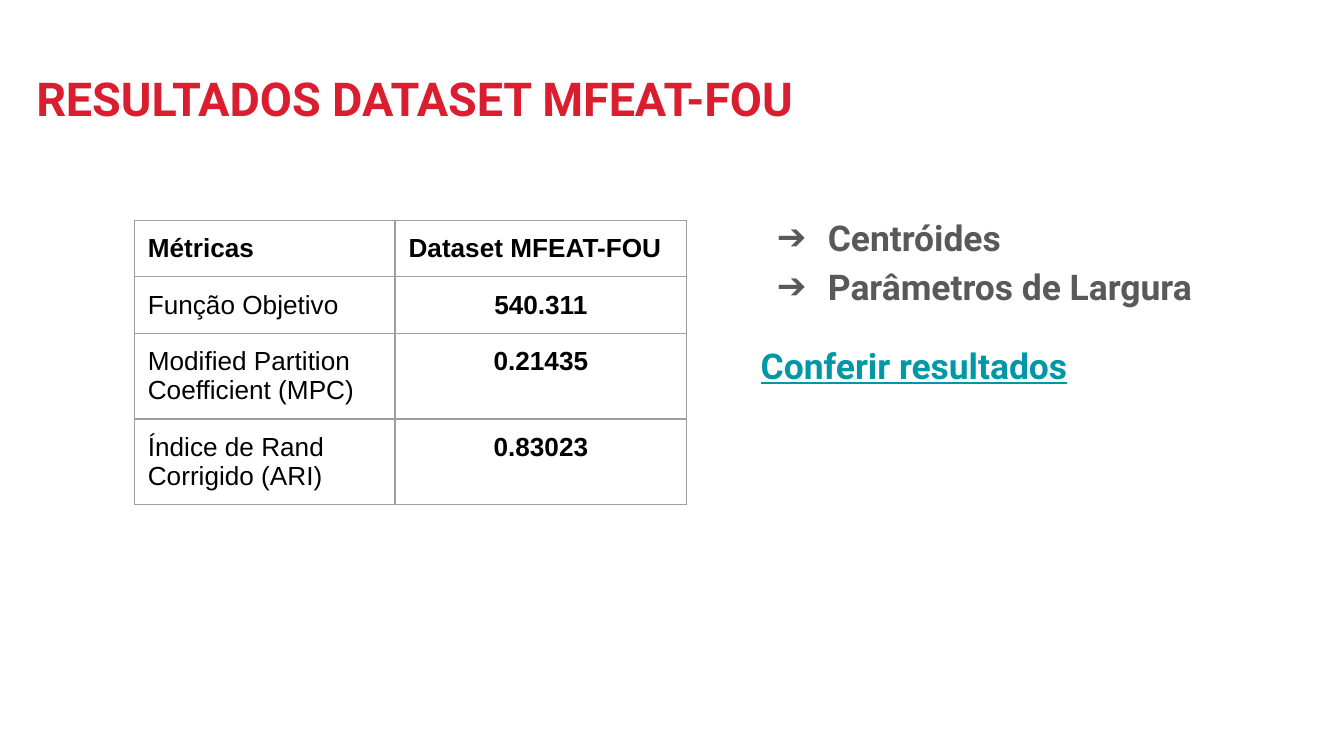
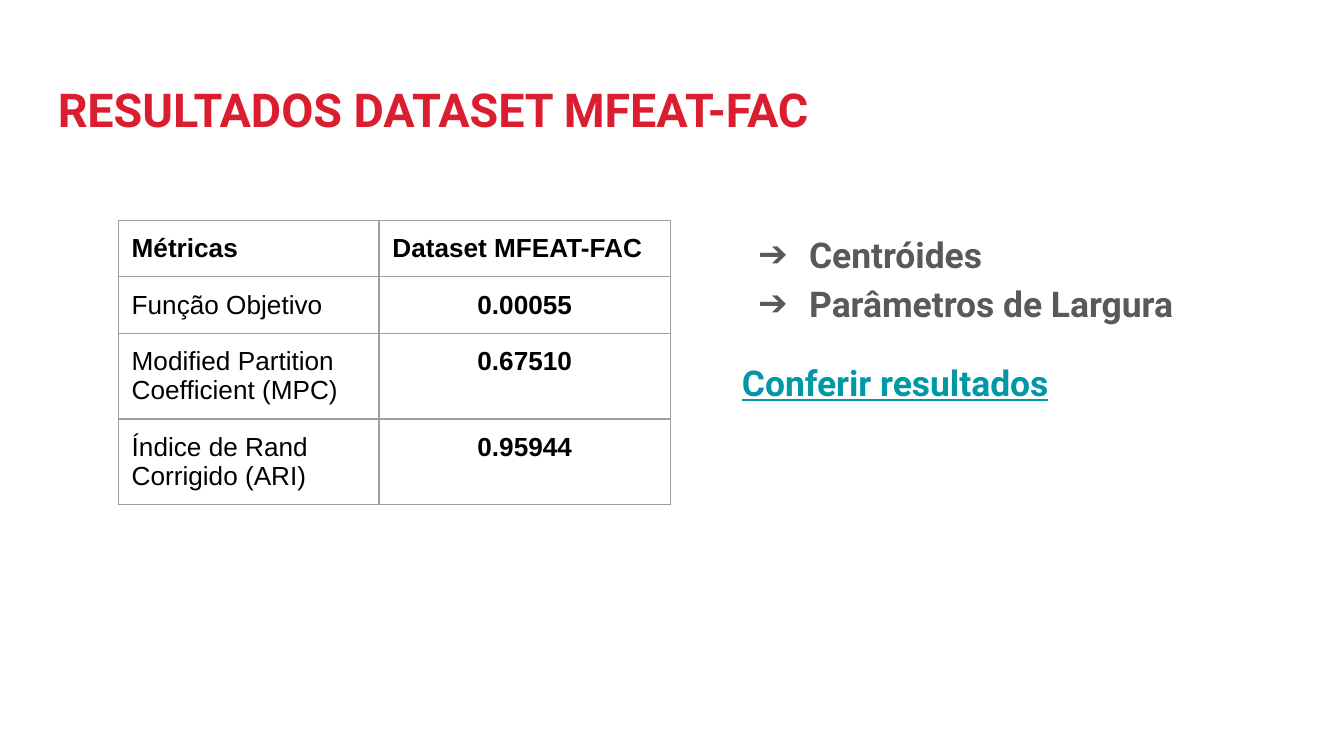
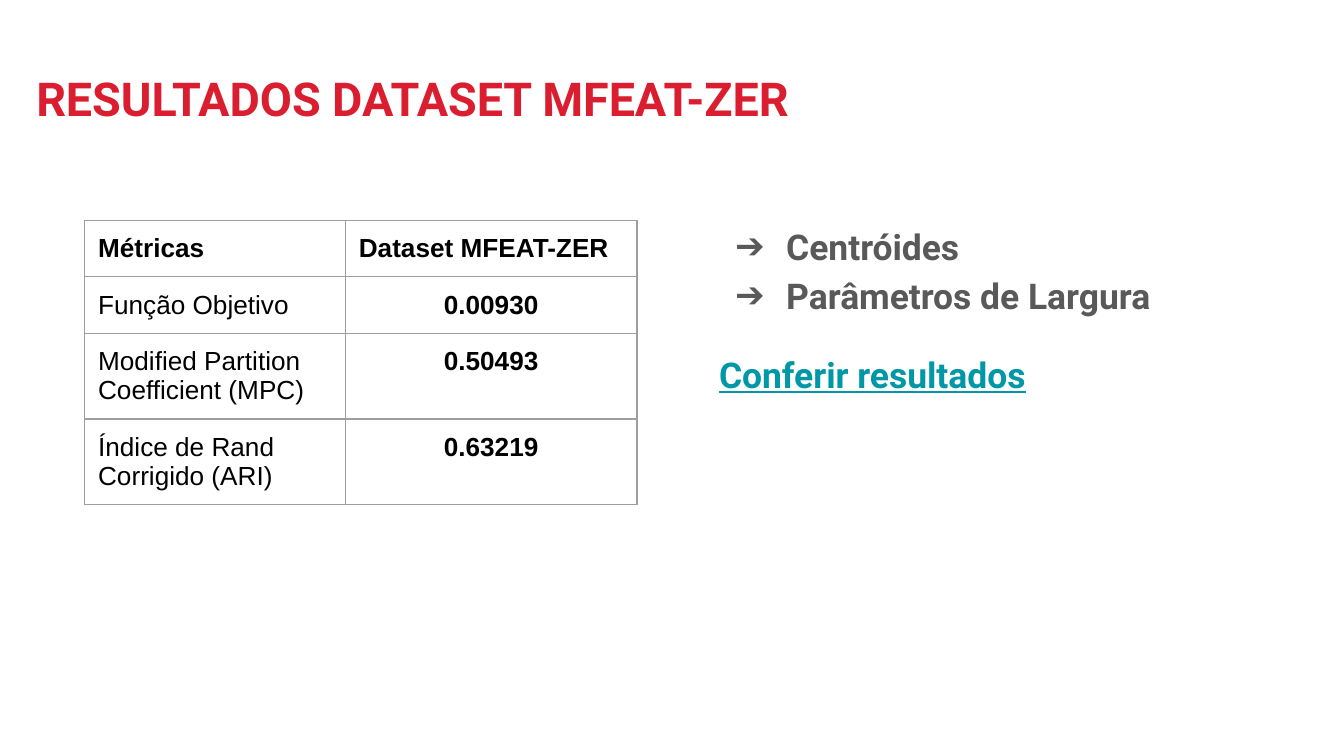
from lxml.etree import SubElement
from pptx import Presentation
from pptx.dml.color import RGBColor
from pptx.enum.text import MSO_ANCHOR, MSO_AUTO_SIZE, PP_ALIGN
from pptx.oxml.ns import qn
from pptx.util import Inches, Pt

WIDTH = Inches(10)
HEIGHT = WIDTH * 9 // 16

RED, GREY, TEAL = "DB1E2F", "595959", "0097A7"
BLACK, RULE, WHITE = "000000", "9E9E9E", "FFFFFF"

HEAD = {"name": "Roboto", "size": Pt(25), "bold": True, "color": RED}
ITEM = {"name": "Roboto", "size": Pt(19), "bold": True, "color": GREY}
LINK = {**ITEM, "color": TEAL, "underline": True}
CELL = {"name": "Arial", "size": Pt(14), "bold": False, "color": BLACK}
BOLD = {**CELL, "bold": True}
INSET = {f"margin_{k}": Inches(0.1)
         for k in ("left", "right", "top", "bottom")}

ITEMS = ["Centróides", "Parâmetros de Largura"]
METRICS = ["Função Objetivo", "Modified Partition Coefficient (MPC)",
           "Índice de Rand Corrigido (ARI)"]
COLS, ROW = (1.94, 2.17), 0.42

# Dataset, metric values, title corner, list box, left edge of the table
RESULTS = [
    ("MFEAT-FOU", ["540.311", "0.21435", "0.83023"],
     (0.17, 0.42), (5.56, 1.46, 4.04, 3.16), 1),
    ("MFEAT-FAC", ["0.00055", "0.67510", "0.95944"],
     (0.33, 0.5), (5.42, 1.59, 3.97, 2.24), 0.88),
    ("MFEAT-ZER", ["0.00930", "0.50493", "0.63219"],
     (0.17, 0.42), (5.25, 1.53, 4.27, 3.16), 0.63),
]


def rgb(code):
    return RGBColor.from_string(code)


def assign(target, values):
    for name, value in values.items():
        setattr(target, name, value)


def write(para, text, style):
    """Add one run of text in the given font style."""
    run = para.add_run()
    run.text = text
    assign(run.font, {k: v for k, v in style.items() if k != "color"})
    run.font.color.rgb = rgb(style["color"])


def tint(parent, code):
    SubElement(parent, qn("a:srgbClr"), val=code)


def indent(para, left, first):
    props = para._p.get_or_add_pPr()
    props.set("marL", str(Inches(left)))
    props.set("indent", str(Inches(first)))
    return props


def bullet(para):
    props = indent(para, 0.5, -0.38)
    tint(SubElement(props, qn("a:buClr")), GREY)
    SubElement(props, qn("a:buChar"), char="➔")


def plain(para):
    SubElement(indent(para, 0, 0), qn("a:buNone"))


def border(cell):
    props = cell._tc.get_or_add_tcPr()
    for side in "LRTB":
        line = SubElement(props, qn(f"a:ln{side}"), w=str(Pt(0.75)))
        tint(SubElement(line, qn("a:solidFill")), RULE)


class Deck:
    def __init__(self):
        self.file = Presentation()
        assign(self.file, {"slide_width": WIDTH, "slide_height": HEIGHT})
        self.slide = None

    def page(self):
        self.slide = self.file.slides.add_slide(self.file.slide_layouts[1])
        fill = self.slide.background.fill
        fill.solid()
        fill.fore_color.rgb = rgb(WHITE)

    def place(self, shape, box):
        """Move a placeholder and return its text frame with even insets."""
        sides = ("left", "top", "width", "height")
        assign(shape, {k: Inches(v) for k, v in zip(sides, box)})
        frame = shape.text_frame
        assign(frame, {**INSET, "word_wrap": True,
                       "auto_size": MSO_AUTO_SIZE.NONE,
                       "vertical_anchor": MSO_ANCHOR.TOP})
        return frame

    def title(self, text, corner):
        frame = self.place(self.slide.shapes.title, (*corner, 9.32, 0.63))
        para = frame.paragraphs[0]
        para.alignment = PP_ALIGN.LEFT
        write(para, text, HEAD)

    def list(self, items, link, box):
        frame = self.place(self.slide.placeholders[1], box)
        rows = [(text, ITEM, 0, bullet) for text in items]
        rows.append((link, LINK, 16, plain))
        for i, (text, style, gap, mark) in enumerate(rows):
            para = frame.add_paragraph() if i else frame.paragraphs[0]
            assign(para, {"line_spacing": 1.15, "space_before": Pt(gap),
                          "space_after": Pt(0)})
            mark(para)
            write(para, text, style)

    def table(self, rows, left):
        frame = self.slide.shapes.add_table(
            len(rows), len(COLS), Inches(left), Inches(1.64),
            Inches(sum(COLS)), Inches(ROW * len(rows)))
        grid = frame.table
        assign(grid, {"first_row": False, "horz_banding": False})
        for col, width in zip(grid.columns, COLS):
            col.width = Inches(width)
        for r, row in enumerate(rows):
            grid.rows[r].height = Inches(ROW)
            for c, text in enumerate(row):
                self.cell(grid.cell(r, c), text, r == 0, c == 1)

    def cell(self, cell, text, head, value):
        assign(cell, INSET)
        border(cell)
        cell.fill.background()
        para = cell.text_frame.paragraphs[0]
        if value and not head:
            para.alignment = PP_ALIGN.CENTER
        write(para, text, BOLD if head or value else CELL)


def main():
    deck = Deck()
    for name, values, corner, box, left in RESULTS:
        deck.page()
        deck.title(f"RESULTADOS DATASET {name}", corner)
        deck.list(ITEMS, "Conferir resultados", box)
        head = ("Métricas", f"Dataset {name}")
        deck.table([head, *zip(METRICS, values)], left)
    deck.file.save("out.pptx")


if __name__ == "__main__":
    main()
